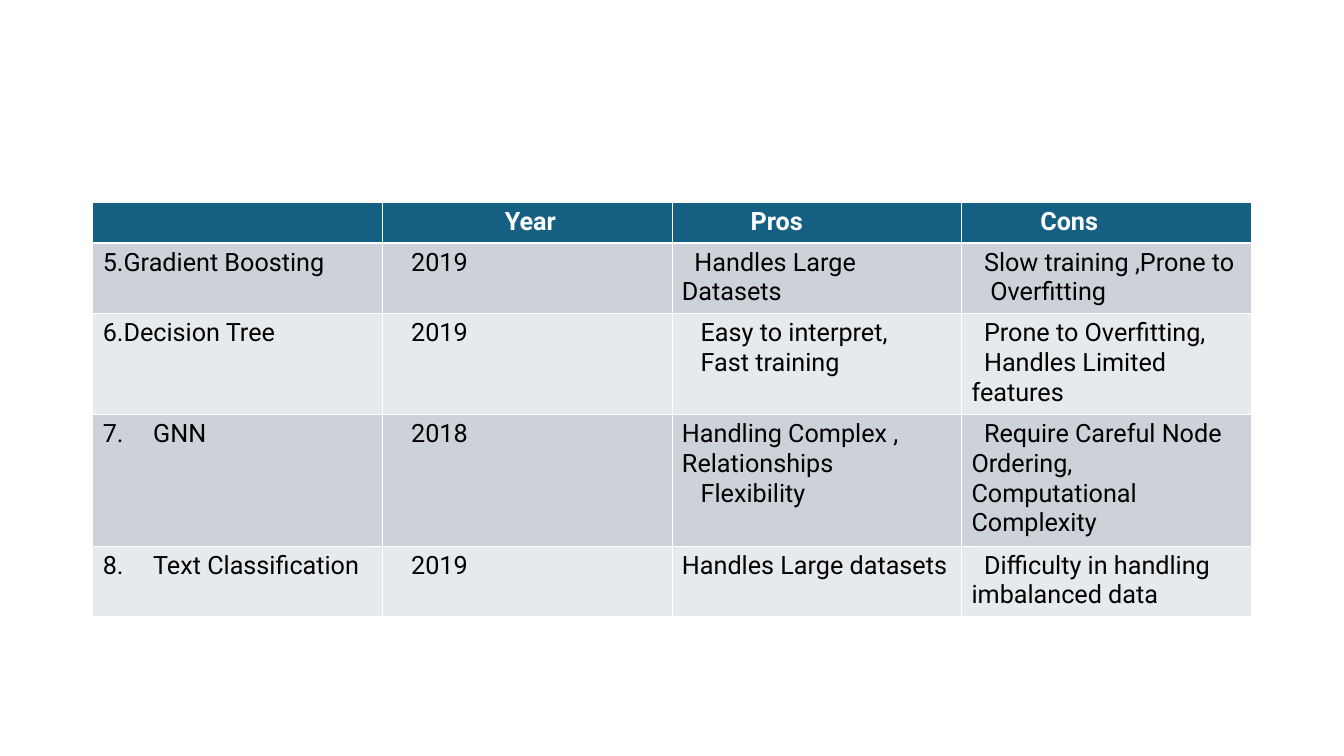
"""Build a slide with a table that compares models by year, pros and cons."""
from dataclasses import dataclass

import lxml.etree
import pptx
import pptx.dml.color
import pptx.oxml.ns
import pptx.table
import pptx.text.text
import pptx.util

SLIDE_WIDTH = pptx.util.Inches(13.34)
SLIDE_HEIGHT = pptx.util.Inches(7.5)
TABLE_LEFT, TABLE_TOP, TABLE_WIDTH = 0.069, 0.267, 0.862
COLUMN_COUNT = 4
HEADER_HEIGHT, TEXT_LINE_HEIGHT, ROW_PADDING = 0.0533, 0.04, 0.0137
INDENT_STEP = pptx.util.Inches(0.062)
NUMBER_TAB = pptx.util.Inches(0.33)
THIN_BORDER, HEADER_BORDER = pptx.util.Pt(0.45), pptx.util.Pt(1.47)
COLORS = {
    "header": "156082",
    "odd_row": "CCD2D8",
    "even_row": "E7EAED",
    "border": "FFFFFF",
    "header_text": "FFFFFF",
    "body_text": "000000",
}


@dataclass(frozen=True)
class Line:
    text: str
    indent: int = 0


@dataclass(frozen=True)
class Row:
    cells: tuple[tuple[Line, ...], ...]
    text_lines: int = 1


def model_row(name: str, year: str, pros: tuple[Line, ...],
              cons: tuple[Line, ...], text_lines: int) -> Row:
    return Row(((Line(name),), (Line(year, 3),), pros, cons), text_lines)


HEADER = Row(((), (Line("Year", 18),), (Line("Pros", 11),), (Line("Cons", 11),)))
MODELS = (
    model_row("5.Gradient Boosting", "2019",
              (Line("Handles Large Datasets", 2),),
              (Line("Slow training ,Prone to", 2), Line("Overfitting", 3)), 2),
    model_row("6.Decision Tree", "2019",
              (Line("Easy to interpret,", 3), Line("Fast training", 3)),
              (Line("Prone to Overfitting,", 2), Line("Handles Limited features", 2)), 3),
    model_row("7.\tGNN", "2018",
              (Line("Handling Complex , Relationships"), Line("Flexibility", 3)),
              (Line("Require Careful Node Ordering, Computational Complexity", 2),), 4),
    model_row("8.\tText Classification", "2019",
              (Line("Handles Large datasets"),),
              (Line("Difficulty in handling imbalanced data", 2),), 2),
)


def color(name: str) -> pptx.dml.color.RGBColor:
    return pptx.dml.color.RGBColor.from_string(COLORS[name])


def add_element(parent: lxml.etree._Element, tag: str, **attributes: str) -> lxml.etree._Element:
    return lxml.etree.SubElement(parent, pptx.oxml.ns.qn(tag), attributes)


def add_borders(cell: pptx.table._Cell, top: int, bottom: int) -> None:
    properties = cell._tc.get_or_add_tcPr()
    widths = {"a:lnL": THIN_BORDER, "a:lnR": THIN_BORDER, "a:lnT": top, "a:lnB": bottom}
    for tag, width in widths.items():
        border = add_element(properties, tag, w=str(int(width)))
        add_element(add_element(border, "a:solidFill"), "a:srgbClr", val=COLORS["border"])


def write_line(paragraph: pptx.text.text._Paragraph, line: Line,
               text_color: str, bold: bool) -> None:
    paragraph.text = line.text
    properties = paragraph._p.get_or_add_pPr()
    properties.set("marL", "0")
    properties.set("indent", str(line.indent * INDENT_STEP))
    if "\t" in line.text:
        tabs = add_element(properties, "a:tabLst")
        add_element(tabs, "a:tab", pos=str(int(NUMBER_TAB)), algn="l")
    for run in paragraph.runs:
        run.font.name = "Roboto"
        run.font.size = pptx.util.Pt(18)
        run.font.bold = bold
        run.font.color.rgb = color(text_color)


def fill_row(table: pptx.table.Table, index: int, row: Row) -> None:
    is_header = index == 0
    fill = "header" if is_header else ("odd_row" if index % 2 else "even_row")
    text_color = "header_text" if is_header else "body_text"
    height = HEADER_HEIGHT if is_header else row.text_lines * TEXT_LINE_HEIGHT + ROW_PADDING
    table.rows[index].height = int(SLIDE_HEIGHT * height)
    top = HEADER_BORDER if index == 1 else THIN_BORDER
    bottom = HEADER_BORDER if is_header else THIN_BORDER
    for column, lines in enumerate(row.cells):
        cell = table.cell(index, column)
        add_borders(cell, top, bottom)
        cell.fill.solid()
        cell.fill.fore_color.rgb = color(fill)
        frame = cell.text_frame
        for number, line in enumerate(lines):
            paragraph = frame.add_paragraph() if number else frame.paragraphs[0]
            write_line(paragraph, line, text_color, is_header)


def main() -> None:
    presentation = pptx.Presentation()
    presentation.slide_width = SLIDE_WIDTH
    presentation.slide_height = SLIDE_HEIGHT
    slide = presentation.slides.add_slide(presentation.slide_layouts[6])
    rows = (HEADER, *MODELS)
    table = slide.shapes.add_table(
        len(rows), COLUMN_COUNT,
        int(SLIDE_WIDTH * TABLE_LEFT), int(SLIDE_HEIGHT * TABLE_TOP),
        int(SLIDE_WIDTH * TABLE_WIDTH), int(SLIDE_HEIGHT * HEADER_HEIGHT),
    ).table
    table.horz_banding = False
    for index, row in enumerate(rows):
        fill_row(table, index, row)
    presentation.save("out.pptx")


if __name__ == "__main__":
    main()
